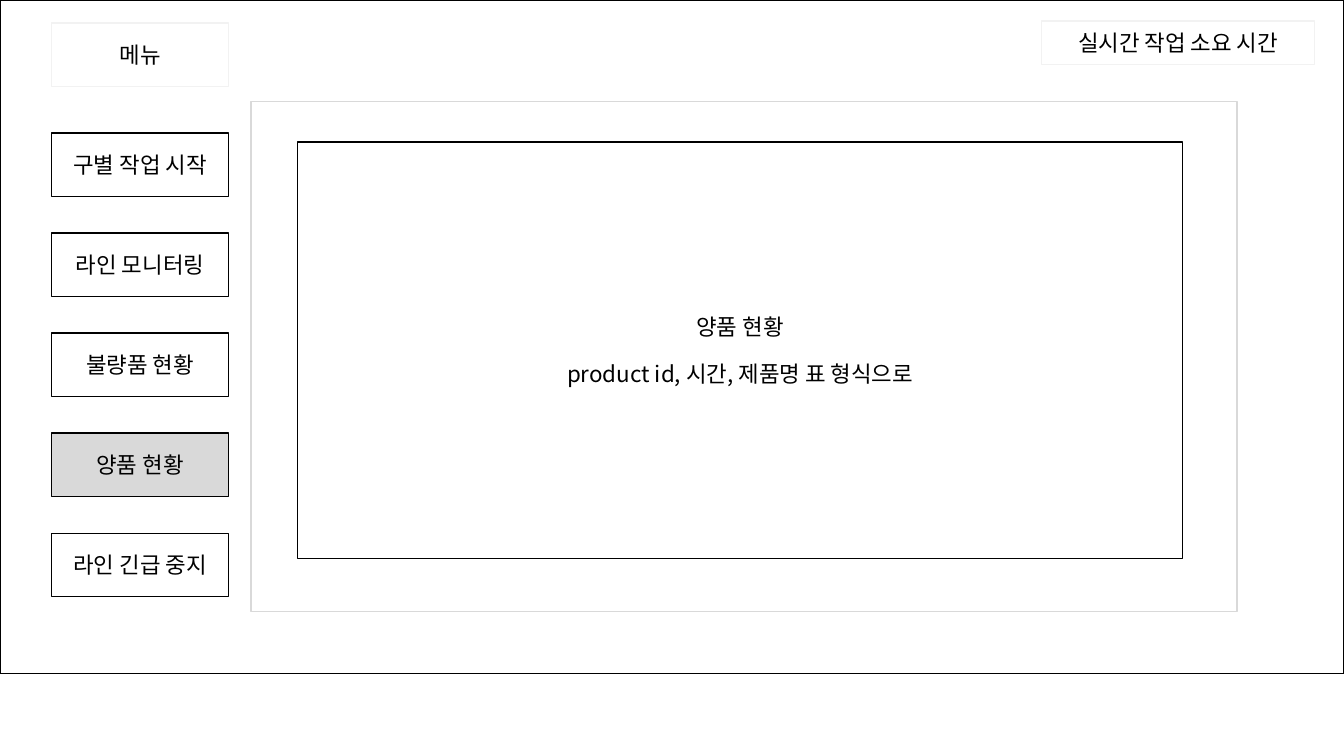
from dataclasses import dataclass

import lxml.etree
import pptx
import pptx.dml.color
import pptx.enum.shapes
import pptx.enum.text
import pptx.oxml.ns
import pptx.util

Inches = pptx.util.Inches
Pt = pptx.util.Pt


@dataclass(frozen=True)
class Theme:
    font: str = "Noto Sans CJK KR"
    text_size: float = 16
    paragraph_gap: float = 14.7
    line_width: float = 1
    ink: str = "000000"
    paper: str = "FFFFFF"
    selected: str = "D9D9D9"
    frame: str = "D9D9D9"
    faint: str = "F2F2F2"


class Screen:
    def __init__(self, slide, theme):
        self.slide = slide
        self.theme = theme

    def box(self, left, top, width, height, lines=(), fill=None, line=None):
        panel = self.slide.shapes.add_shape(
            pptx.enum.shapes.MSO_SHAPE.RECTANGLE,
            Inches(left), Inches(top), Inches(width), Inches(height))
        panel.shadow.inherit = False
        panel.fill.solid()
        panel.fill.fore_color.rgb = self.color(fill or self.theme.paper)
        panel.line.color.rgb = self.color(line or self.theme.ink)
        panel.line.width = Pt(self.theme.line_width)
        if lines:
            self.label(panel.text_frame, lines)

    def label(self, frame, lines):
        frame.word_wrap = True
        frame.vertical_anchor = pptx.enum.text.MSO_ANCHOR.MIDDLE
        frame.text = "\n".join(lines)
        for index, paragraph in enumerate(frame.paragraphs):
            paragraph.alignment = pptx.enum.text.PP_ALIGN.CENTER
            if index:
                paragraph.space_before = Pt(self.theme.paragraph_gap)
            for run in paragraph.runs:
                run.font.size = Pt(self.theme.text_size)
                run.font.color.rgb = self.color(self.theme.ink)
                run.font.name = self.theme.font
                east_asian = lxml.etree.SubElement(
                    run.font._element, pptx.oxml.ns.qn("a:ea"))
                east_asian.set("typeface", self.theme.font)

    def color(self, value):
        return pptx.dml.color.RGBColor.from_string(value)


MENU_LEFT, MENU_WIDTH, MENU_HEIGHT = 0.51, 1.76, 0.63
FIRST_ITEM_TOP, LAST_ITEM_TOP = 1.32, 5.29
MENU_ITEMS = ["구별 작업 시작", "라인 모니터링", "불량품 현황", "양품 현황", "라인 긴급 중지"]
ITEM_PITCH = (LAST_ITEM_TOP - FIRST_ITEM_TOP) / (len(MENU_ITEMS) - 1)
CURRENT_ITEM = "양품 현황"

presentation = pptx.Presentation()
presentation.slide_width = Inches(13.33)
presentation.slide_height = Inches(7.5)
theme = Theme()
screen = Screen(presentation.slides.add_slide(presentation.slide_layouts[6]), theme)

screen.box(0, 0, 13.33, 6.68)
for position, item in enumerate(MENU_ITEMS):
    screen.box(MENU_LEFT, FIRST_ITEM_TOP + position * ITEM_PITCH, MENU_WIDTH, MENU_HEIGHT,
               [item], fill=theme.selected if item == CURRENT_ITEM else theme.paper)
screen.box(MENU_LEFT, 0.23, MENU_WIDTH, MENU_HEIGHT, ["메뉴"], line=theme.faint)
screen.box(10.33, 0.21, 2.71, 0.43, ["실시간 작업 소요 시간"], line=theme.faint)
screen.box(2.49, 1.01, 9.78, 5.06, line=theme.frame)
screen.box(2.95, 1.41, 8.78, 4.13,
           [CURRENT_ITEM, "product id, 시간, 제품명 표 형식으로"])

presentation.save("out.pptx")
